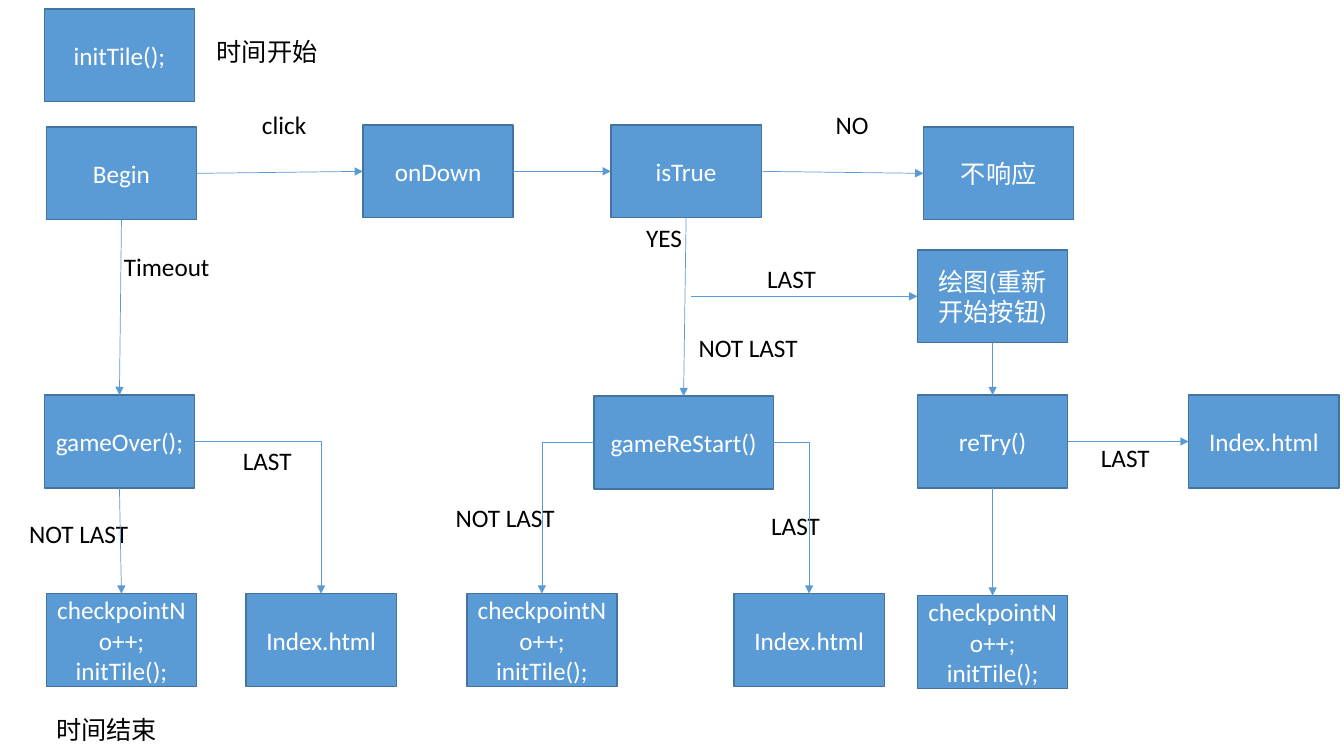
from dataclasses import dataclass
from lxml.etree import SubElement
from pptx import Presentation
from pptx.dml.color import RGBColor as Color
from pptx.enum.shapes import MSO_CONNECTOR as Wire, MSO_SHAPE as Form
from pptx.enum.text import MSO_ANCHOR as Anchor, MSO_AUTO_SIZE as Fit, PP_ALIGN as Align
from pptx.oxml.ns import qn
from pptx.shapes.autoshape import Shape
from pptx.slide import Slide
from pptx.text.text import TextFrame
from pptx.util import Pt

SCALE = 9144
WIDE, HIGH = 149, 92
TOP, LEFT, BOTTOM, RIGHT = range(4)


@dataclass(frozen=True)
class Theme:
    fill: Color = Color.from_string("5B9BD5")
    edge: Color = Color.from_string("43739E")
    light: Color = Color.from_string("FFFFFF")
    dark: Color = Color.from_string("000000")
    font: str = "Calibri"
    size: Pt = Pt(18)
    border: Pt = Pt(1)
    wire: Pt = Pt(0.5)


@dataclass(frozen=True)
class Node:
    key: str
    x: int
    y: int
    text: str
    wide: int = WIDE


@dataclass(frozen=True)
class Label:
    x: int
    y: int
    wide: int
    text: str


@dataclass(frozen=True)
class Link:
    start: str | tuple[int, int]
    out: int
    end: str
    into: int
    bent: bool = False


THEME = Theme()
NEXT = "checkpointNo++;\ninitTile();"
HOME = "Index.html"

NODES = [
    Node("init", 44, 9, "initTile();"),
    Node("begin", 46, 126, "Begin"),
    Node("down", 360, 124, "onDown"),
    Node("true", 606, 124, "isTrue"),
    Node("ignore", 916, 126, "不响应"),
    Node("draw", 910, 248, "绘图(重新开始按钮)"),
    Node("over", 44, 392, "gameOver();"),
    Node("restart", 589, 393, "gameReStart()", 178),
    Node("retry", 910, 392, "reTry()"),
    Node("retry home", 1179, 392, HOME),
    Node("over next", 46, 589, NEXT),
    Node("over home", 244, 589, HOME),
    Node("restart next", 463, 589, NEXT),
    Node("restart home", 728, 589, HOME),
    Node("retry next", 910, 591, NEXT),
]

LABELS = [
    Label(205, 31, 121, "时间开始"),
    Label(250, 104, 65, "click"),
    Label(819, 104, 53, "NO"),
    Label(631, 216, 56, "YES"),
    Label(113, 244, 106, "Timeout"),
    Label(751, 256, 69, "LAST"),
    Label(683, 325, 119, "NOT LAST"),
    Label(231, 437, 69, "LAST"),
    Label(1082, 434, 69, "LAST"),
    Label(19, 509, 119, "NOT LAST"),
    Label(442, 493, 119, "NOT LAST"),
    Label(755, 501, 69, "LAST"),
    Label(46, 704, 121, "时间结束"),
]

LINKS = [
    Link("begin", RIGHT, "down", LEFT),
    Link("down", RIGHT, "true", LEFT),
    Link("true", RIGHT, "ignore", LEFT),
    Link("begin", BOTTOM, "over", TOP),
    Link("true", BOTTOM, "restart", TOP),
    Link((685, 294), RIGHT, "draw", LEFT),
    Link("draw", BOTTOM, "retry", TOP),
    Link("retry", RIGHT, "retry home", LEFT),
    Link("retry", BOTTOM, "retry next", TOP),
    Link("over", BOTTOM, "over next", TOP),
    Link("over", RIGHT, "over home", TOP, True),
    Link("restart", LEFT, "restart next", TOP, True),
    Link("restart", RIGHT, "restart home", TOP, True),
]


def px(count: int) -> int:
    return count * SCALE


def write(frame: TextFrame, text: str, color: Color, align: Align) -> None:
    frame.text = text
    for line in frame.paragraphs:
        line.alignment = align
        line.font.name = THEME.font
        line.font.size = THEME.size
        line.font.color.rgb = color


def add_node(slide: Slide, node: Node) -> Shape:
    box = slide.shapes.add_shape(
        Form.RECTANGLE, px(node.x), px(node.y), px(node.wide), px(HIGH)
    )
    box.shadow.inherit = False
    box.fill.solid()
    box.fill.fore_color.rgb = THEME.fill
    box.line.color.rgb = THEME.edge
    box.line.width = THEME.border
    box.text_frame.word_wrap = True
    box.text_frame.vertical_anchor = Anchor.MIDDLE
    write(box.text_frame, node.text, THEME.light, Align.CENTER)
    return box


def add_label(slide: Slide, label: Label) -> None:
    box = slide.shapes.add_textbox(px(label.x), px(label.y), px(label.wide), px(40))
    box.text_frame.word_wrap = False
    box.text_frame.auto_size = Fit.SHAPE_TO_FIT_TEXT
    write(box.text_frame, label.text, THEME.dark, Align.LEFT)


def add_link(slide: Slide, link: Link, boxes: dict[str, Shape]) -> None:
    kind = Wire.ELBOW if link.bent else Wire.STRAIGHT
    x, y = link.start if isinstance(link.start, tuple) else (0, 0)
    wire = slide.shapes.add_connector(kind, px(x), px(y), px(x), px(y))
    if isinstance(link.start, str):
        wire.begin_connect(boxes[link.start], link.out)
    wire.end_connect(boxes[link.end], link.into)
    wire.line.color.rgb = THEME.fill
    wire.line.width = THEME.wire
    props = wire.element.spPr
    if link.bent:
        props.find(qn("a:prstGeom")).set("prst", "bentConnector2")
    SubElement(props.find(qn("a:ln")), qn("a:tailEnd"), type="triangle")
    SubElement(props, qn("a:effectLst"))


def main() -> None:
    deck = Presentation()
    deck.slide_width, deck.slide_height = px(1333), px(750)
    slide = deck.slides.add_slide(deck.slide_layouts[6])
    boxes = {node.key: add_node(slide, node) for node in NODES}
    for label in LABELS:
        add_label(slide, label)
    for link in LINKS:
        add_link(slide, link, boxes)
    deck.save("out.pptx")


if __name__ == "__main__":
    main()
